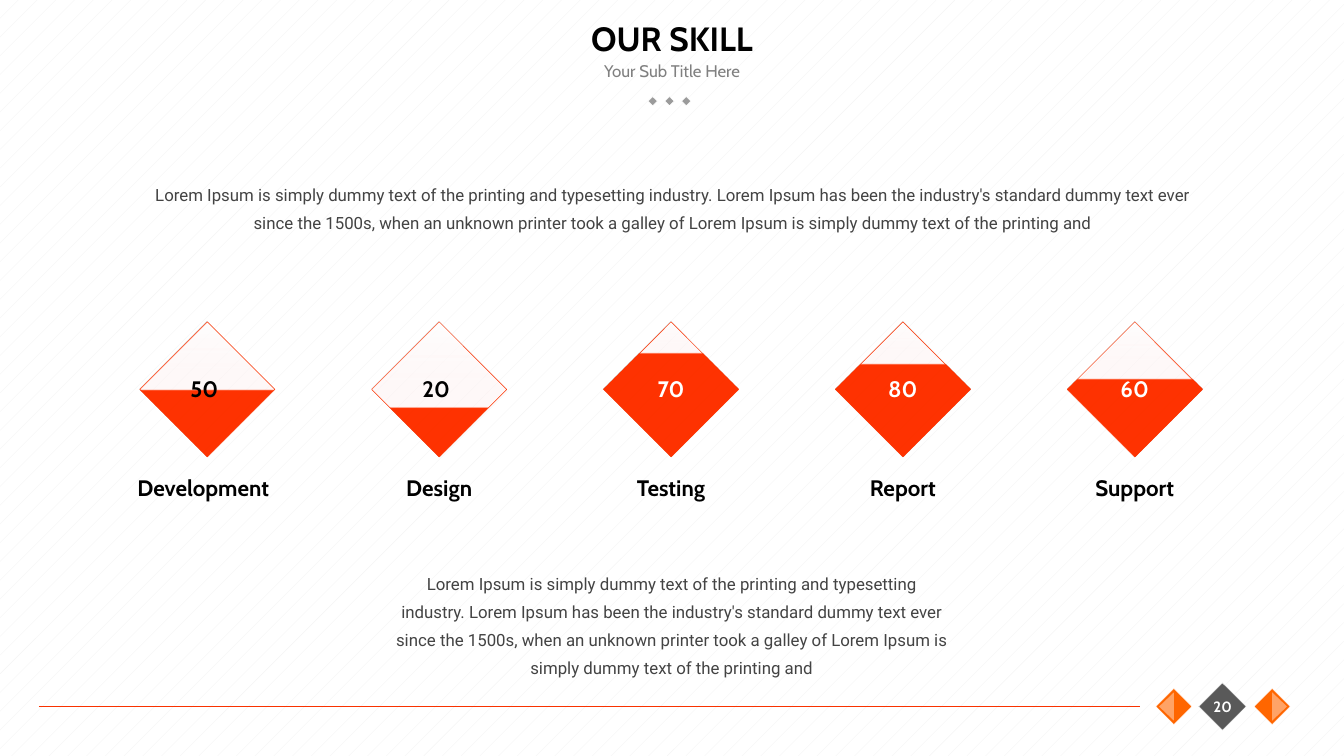
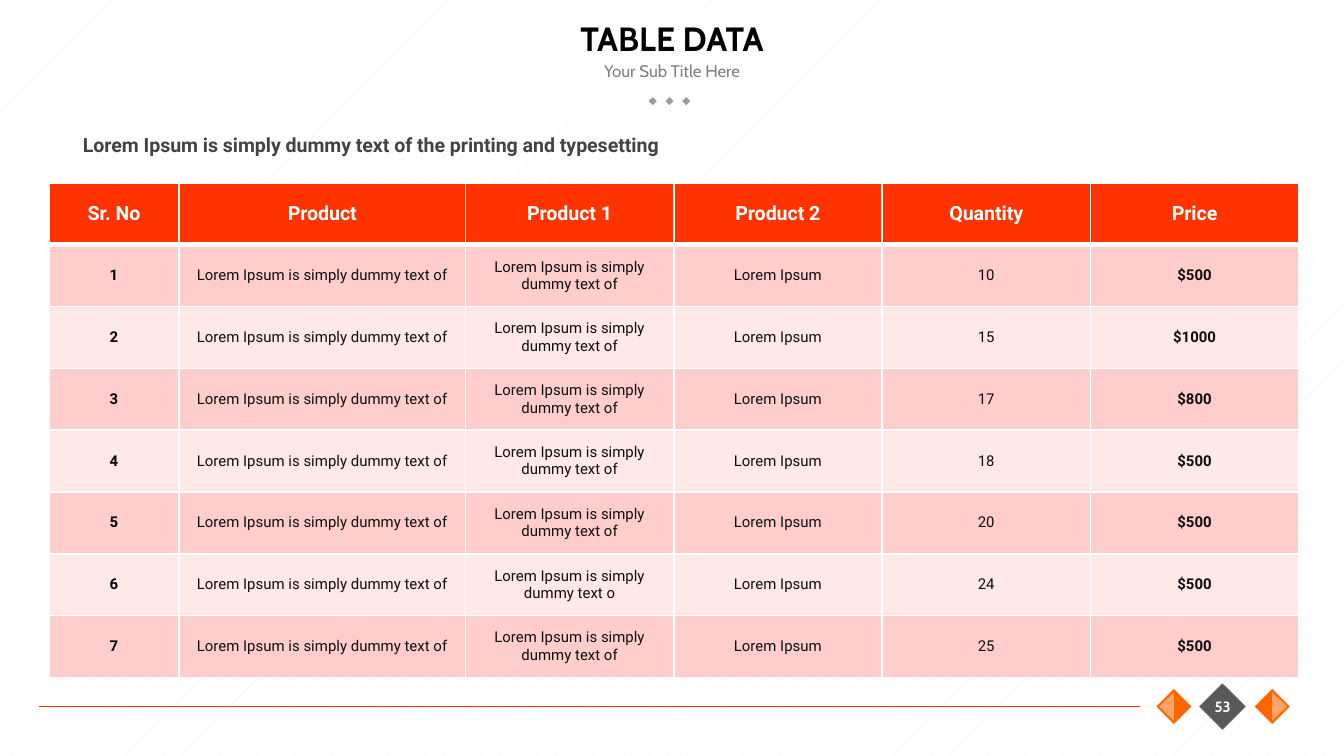
from lxml.etree import SubElement
from pptx import Presentation
from pptx.dml.color import RGBColor
from pptx.enum.dml import MSO_PATTERN
from pptx.enum.shapes import MSO_CONNECTOR, MSO_SHAPE
from pptx.enum.text import MSO_ANCHOR, MSO_AUTO_SIZE, PP_ALIGN
from pptx.oxml.ns import qn
from pptx.util import Pt

RED, ORANGE, PEACH, RULE = "FF3300", "FF6600", "FFA366", "F93200"
BLACK, WHITE, DARK, GREY = "000000", "FFFFFF", "434343", "808080"
HEAD, BODY = "Cabin", "Roboto"
FOOTER_Y = 378.5

LOREM = ("Lorem Ipsum is simply dummy text of the printing and typesetting industry. "
         "Lorem Ipsum has been the industry's standard dummy text ever since the 1500s, "
         "when an unknown printer took a galley of Lorem Ipsum is simply dummy text of "
         "the printing and")


def rgb(color):
    return RGBColor.from_string(color)


def apply(target, values):
    for name, value in values.items():
        setattr(target, name, value)


class Deck:
    """Holds the shared style and the current slide."""

    def __init__(self):
        self.prs = Presentation()
        apply(self.prs, {"slide_width": Pt(720), "slide_height": Pt(405)})
        self.s = None

    def new_slide(self, title, number):
        self.s = self.prs.slides.add_slide(self.prs.slide_layouts[6])
        fill = self.s.background.fill
        fill.patterned()
        fill.pattern = MSO_PATTERN.PERCENT_5
        fill.fore_color.rgb, fill.back_color.rgb = rgb("F2F2F2"), rgb(WHITE)

        # Heading
        for i in range(3):
            self.diamond(349.7 + 9 * i, 54.2, 3.5, "9B9B9B")
        self.text(270, 28.8, 180, 18, "Your Sub Title Here", 9, GREY, middle=True)
        self.text(54, 0, 612, 40.3, title, 18, bold=True, middle=True)

        # Footer
        self.line(20.9, FOOTER_Y, 610.6, FOOTER_Y)
        self.diamond(654.9, FOOTER_Y, 18, "595959")
        self.nav_arrow(681.5, 1)
        self.nav_arrow(628.9, -1)
        self.text(640, FOOTER_Y - 9, 30, 18, number, 8, WHITE, bold=True, middle=True)

    def shape(self, kind, cx, cy, w, h, rotation, fill=None, line=None):
        sp = self.s.shapes.add_shape(kind, Pt(cx - w / 2), Pt(cy - h / 2), Pt(w), Pt(h))
        sp.rotation = rotation
        sp.shadow.inherit = False
        if fill:
            sp.fill.solid()
            sp.fill.fore_color.rgb = rgb(fill)
        if line:
            sp.line.color.rgb = rgb(line)
            sp.line.width = Pt(0.25)
        else:
            sp.line.fill.background()
        return sp

    def diamond(self, cx, cy, side, fill):
        return self.shape(MSO_SHAPE.RECTANGLE, cx, cy, side, side, 315, fill, WHITE)

    def nav_arrow(self, cx, direction):
        self.diamond(cx, FOOTER_Y, 13.7, ORANGE)
        self.shape(MSO_SHAPE.FLOWCHART_EXTRACT, cx + 4 * direction, FOOTER_Y,
                   15.1, 7.9, 90 * direction % 360, PEACH)

    def gauge(self, cx, cy, side, level):
        """Diamond filled from its lower corner up to level percent."""
        sp = self.shape(MSO_SHAPE.RECTANGLE, cx, cy, side, side, 225, line=RED)
        sp.fill.gradient()
        sp.fill.gradient_angle = 315
        stops = sp._element.spPr.find(qn("a:gradFill")).find(qn("a:gsLst"))
        for stop in list(stops):
            stops.remove(stop)
        for pos, color, alpha in ((0, RED, 100), (level, RED, 100),
                                  (level + 1, "FFF1F1", 41), (100, WHITE, 100)):
            gs = SubElement(stops, qn("a:gs"), pos=str(pos * 1000))
            clr = SubElement(gs, qn("a:srgbClr"), val=color)
            if alpha < 100:
                SubElement(clr, qn("a:alpha"), val=str(alpha * 1000))

    def line(self, x1, y1, x2, y2):
        cn = self.s.shapes.add_connector(MSO_CONNECTOR.STRAIGHT, Pt(x1), Pt(y1), Pt(x2), Pt(y2))
        cn.line.color.rgb = rgb(RULE)
        cn.line.width = Pt(0.75)
        SubElement(cn._element.spPr, qn("a:effectLst"))

    def run(self, p, text, size, color, font, bold, align=PP_ALIGN.CENTER):
        p.alignment = align
        r = p.add_run()
        r.text = text
        apply(r.font, {"name": font, "size": Pt(size), "bold": bold})
        r.font.color.rgb = rgb(color)

    def text(self, x, y, w, h, text, size, color=BLACK, font=HEAD, bold=False,
             align=PP_ALIGN.CENTER, middle=False, spacing=None):
        tf = self.s.shapes.add_textbox(Pt(x), Pt(y), Pt(w), Pt(h)).text_frame
        apply(tf, {
            "word_wrap": True,
            "auto_size": MSO_AUTO_SIZE.NONE if middle else MSO_AUTO_SIZE.SHAPE_TO_FIT_TEXT,
            "vertical_anchor": MSO_ANCHOR.MIDDLE if middle else MSO_ANCHOR.TOP,
        })
        p = tf.paragraphs[0]
        if spacing:
            p.line_spacing = Pt(spacing)
        self.run(p, text, size, color, font, bold, align)

    def body(self, x, y, w, h, text, size=9, **style):
        self.text(x, y, w, h, text, size, DARK, BODY, spacing=15, **style)

    def cell(self, cell, text, fill, borders, size, color, bold):
        tcPr = cell._tc.get_or_add_tcPr()
        for side, width in borders.items():
            ln = SubElement(tcPr, qn("a:ln" + side), w=str(Pt(width)))
            SubElement(SubElement(ln, qn("a:solidFill")), qn("a:srgbClr"), val=WHITE)
        cell.fill.solid()
        cell.fill.fore_color.rgb = rgb(fill)
        cell.vertical_anchor = MSO_ANCHOR.MIDDLE
        self.run(cell.text_frame.paragraphs[0], text, size, color, BODY, bold)

    def table(self, x, y, widths, row_height, rows):
        table = self.s.shapes.add_table(len(rows), len(widths), Pt(x), Pt(y), Pt(sum(widths)),
                                        Pt(row_height * len(rows))).table
        table.horz_banding = False
        for column, width in zip(table.columns, widths):
            column.width = Pt(width)
        last = len(widths) - 1
        for i, values in enumerate(rows):
            table.rows[i].height = Pt(row_height)
            for j, value in enumerate(values):
                if i == 0:
                    style = (RED, {"L": 1, "R": 1, "T": 1, "B": 3}, 10.5, WHITE, True)
                else:
                    style = ("FFCECC" if i % 2 else "FFE8E7", {"L": 1, "R": 1, "B": 1}, 8,
                             "0D0D0D" if j else BLACK, j in (0, last))
                self.cell(table.cell(i, j), value, *style)


def skill_slide(deck):
    deck.new_slide("OUR SKILL", "20")
    deck.body(74.9, 91.4, 570.2, 37.4, LOREM)

    # Label, value, fill level, number colour, number shift, label shift
    skills = [
        ("Development", "50", 49, BLACK, -1.6, -2.2),
        ("Design", "20", 36, BLACK, -1.6, 0),
        ("Testing", "70", 76, WHITE, 0, 0),
        ("Report", "80", 68, WHITE, 0, 0),
        ("Support", "60", 57, WHITE, 0, 0),
    ]
    for i, (label, value, level, color, number_dx, label_dx) in enumerate(skills):
        cx = 111.1 + 124.2 * i
        deck.gauge(cx, 208.6, 51.2, level)
        deck.text(cx - 39.6 + number_dx, 197.3, 79.2, 21.6, value, 12, color, bold=True)
        deck.text(cx - 50 + label_dx, 250.6, 100, 21.6, label, 12, bold=True)

    deck.body(204.5, 299.5, 310.3, 67.7, LOREM)


def table_slide(deck):
    deck.new_slide("TABLE DATA", "53")
    deck.body(37.4, 65.5, 391, 22.3, "Lorem Ipsum is simply dummy text of the printing and typesetting",
              10.5, bold=True, align=PP_ALIGN.LEFT)

    product = "Lorem Ipsum is simply dummy text of"
    orders = [("10", "$500"), ("15", "$1000"), ("17", "$800"), ("18", "$500"),
              ("20", "$500"), ("24", "$500"), ("25", "$500")]
    rows = [["Sr. No", "Product", "Product 1", "Product 2", "Quantity", "Price"]]
    rows += [[str(n), product, product, "Lorem Ipsum", quantity, price]
             for n, (quantity, price) in enumerate(orders, 1)]
    rows[6][2] = "Lorem Ipsum is simply dummy text o"
    deck.table(26.2, 98, [69.8, 153.4] + [111.6] * 4, 33.12, rows)


def main():
    deck = Deck()
    skill_slide(deck)
    table_slide(deck)
    deck.prs.save("out.pptx")


if __name__ == "__main__":
    main()
